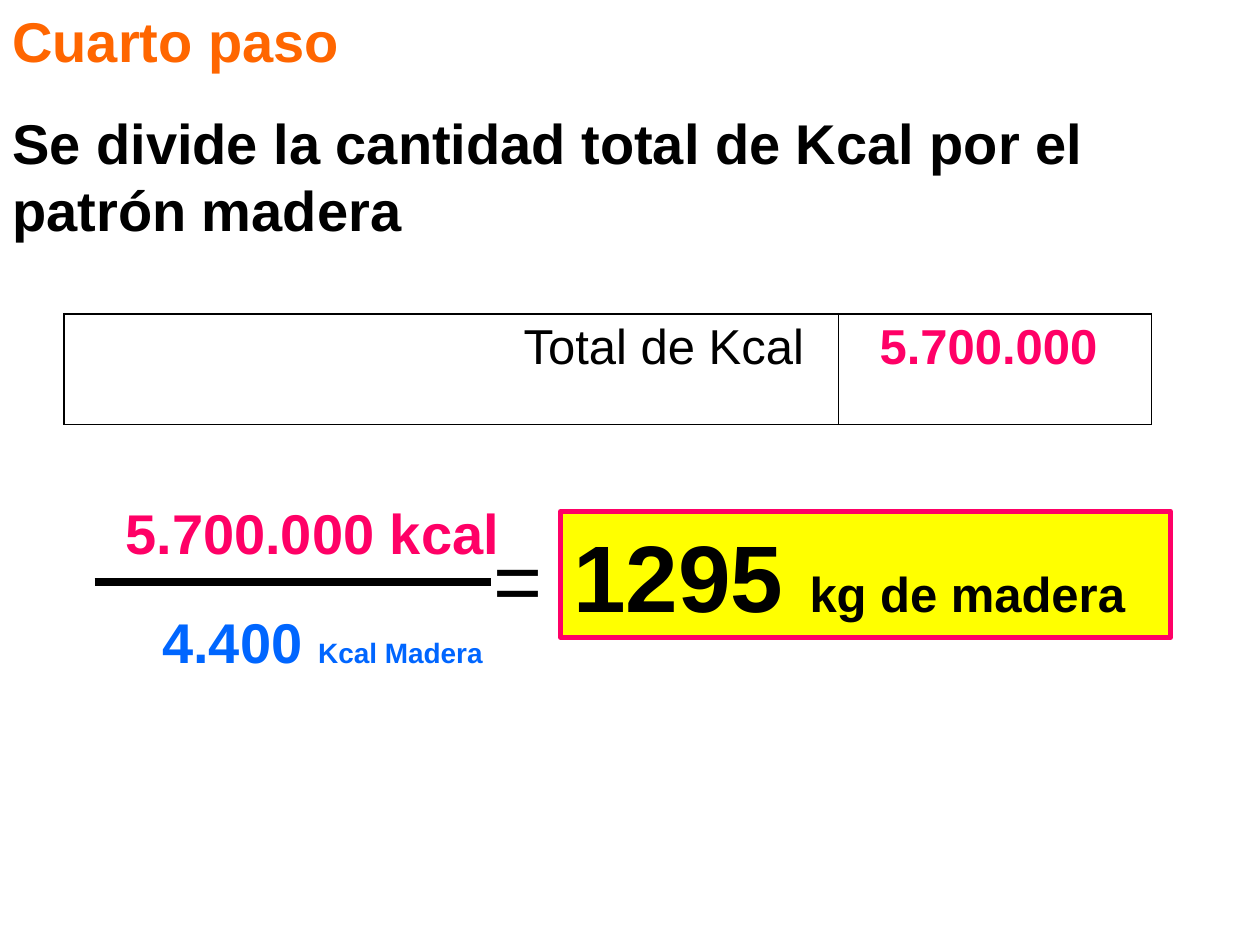
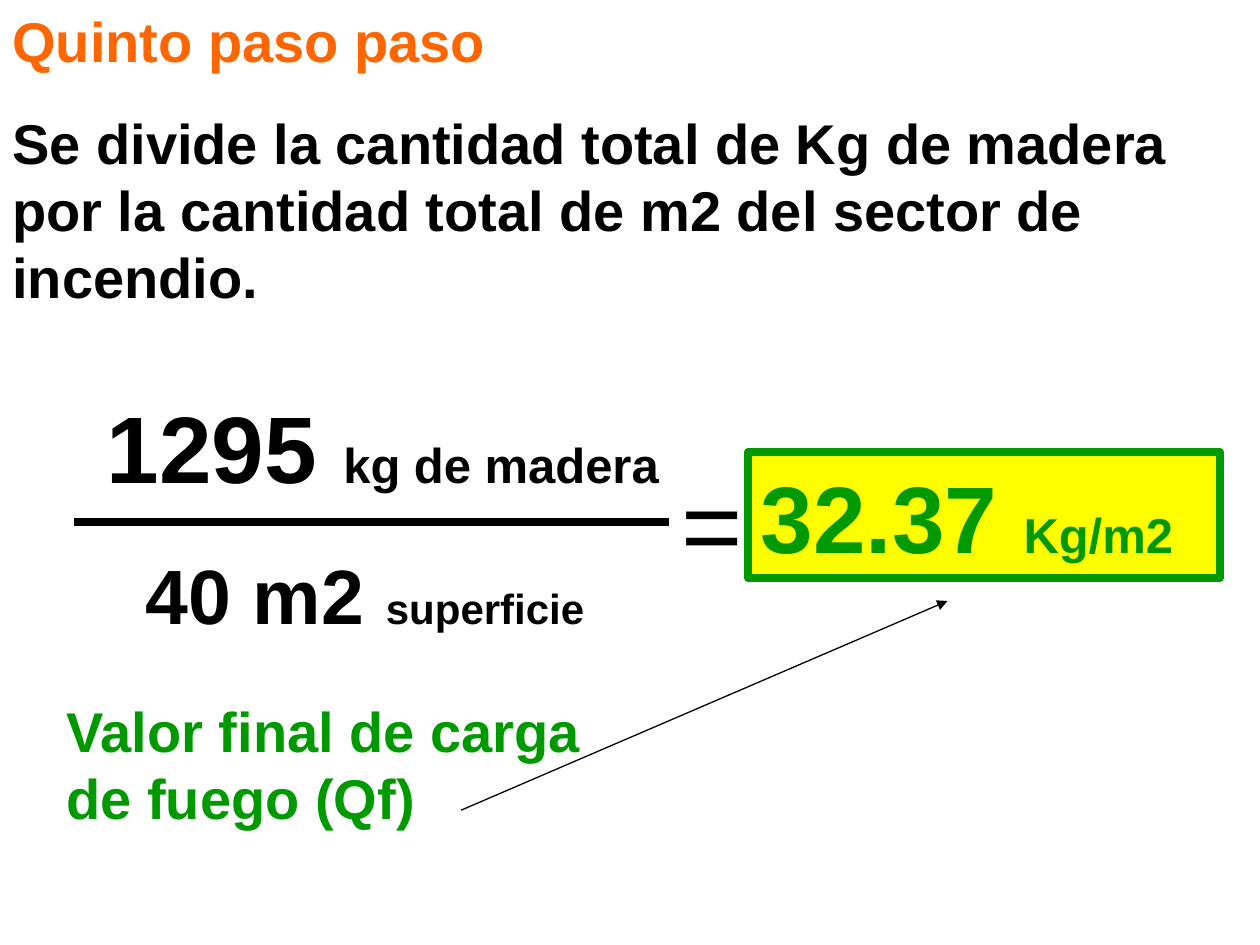
from lxml import etree
from pptx import Presentation
from pptx import util as u
from pptx.dml import color
from pptx.enum import shapes, text
from pptx.oxml import ns

FONT = "Arial"
BLACK, ORANGE, PINK = "000000", "FF6600", "FF0066"
BLUE, GREEN, YELLOW = "0066FF", "009900", "FFFF00"
LEFT, CENTER, RIGHT = text.PP_ALIGN.LEFT, text.PP_ALIGN.CENTER, text.PP_ALIGN.RIGHT


def rgb(value):
    """Turn a hex string into a colour."""
    return color.RGBColor.from_string(value)


def inches(*lengths):
    """Turn numbers into lengths."""
    return [u.Inches(length) for length in lengths]


def add_runs(paragraph, runs, hue, before=0, align=LEFT, bold=True):
    """Write (wording, size) runs of one colour into a paragraph."""
    paragraph.alignment = align
    paragraph.space_before = u.Pt(before)
    for wording, size in runs:
        run = paragraph.add_run()
        run.text = wording
        run.font.name = FONT
        run.font.size = u.Pt(size)
        run.font.bold = bold
        run.font.color.rgb = rgb(hue)


def prepare_frame(shape):
    """Make a shape's text wrap from the top and return its frame."""
    frame = shape.text_frame
    frame.word_wrap = True
    frame.auto_size = text.MSO_AUTO_SIZE.SHAPE_TO_FIT_TEXT
    frame.vertical_anchor = text.MSO_ANCHOR.TOP
    return frame


def add_label(slide, box, runs, hue, **style):
    """Place a text box with one paragraph."""
    frame = prepare_frame(slide.shapes.add_textbox(*inches(*box)))
    add_runs(frame.paragraphs[0], runs, hue, **style)


def add_line(slide, start, end, width, arrow=False):
    """Draw a black straight line, with an arrowhead at its end if asked."""
    line = slide.shapes.add_connector(
        shapes.MSO_CONNECTOR.STRAIGHT, *inches(*start, *end))
    line.line.color.rgb = rgb(BLACK)
    line.line.width = u.Pt(width)
    properties = line._element.spPr
    if arrow:
        etree.SubElement(properties.find(ns.qn("a:ln")), ns.qn("a:tailEnd"), type="triangle")
    etree.SubElement(properties, ns.qn("a:effectLst"))


def add_heading(slide, height, step, instruction):
    """Write the step's name and instruction across the top."""
    frame = prepare_frame(slide.shapes.add_textbox(*inches(0, 0, 10, height)))
    add_runs(frame.paragraphs[0], [(step, 32)], ORANGE, before=20)
    add_runs(frame.add_paragraph(), [(instruction, 32)], BLACK, before=20)


def add_result(slide, box, runs, hue, border, border_width):
    """Place the yellow box that holds the quotient."""
    result = slide.shapes.add_shape(shapes.MSO_SHAPE.RECTANGLE, *inches(*box))
    result.shadow.inherit = False
    result.fill.solid()
    result.fill.fore_color.rgb = rgb(YELLOW)
    result.line.color.rgb = rgb(border)
    result.line.width = u.Pt(border_width)
    add_runs(prepare_frame(result).paragraphs[0], runs, hue, before=17.5)


def add_fraction(slide, left, top, length, numerator, denominator):
    """Draw a fraction bar and set the terms by offsets from its left end."""
    add_line(slide, (left, top), (left + length, top), 4.5)
    for term in (numerator, denominator):
        dx, dy, width, height = term.pop("box")
        add_label(slide, (left + dx, top + dy, width, height), **term)


def add_equals(slide, box, size, before):
    """Write the equals sign."""
    add_label(slide, box, [("=", size)], BLACK, before=before, bold=False)


def set_border(cell, side, width):
    """Draw one black border of a table cell."""
    border = etree.SubElement(cell._tc.get_or_add_tcPr(), ns.qn(f"a:ln{side}"),
                              w=str(u.Pt(width)))
    fill = etree.SubElement(border, ns.qn("a:solidFill"))
    etree.SubElement(fill, ns.qn("a:srgbClr"), val=BLACK)


def add_total_table(slide, left, top):
    """Place the one-row table with the total of kcal."""
    widths, height = (6.14, 2.49), 0.88
    table = slide.shapes.add_table(
        1, 2, *inches(left, top, sum(widths), height)).table
    table.first_row = table.horz_banding = False
    table.rows[0].height = u.Inches(height)
    contents = (("Total de Kcal", BLACK, RIGHT, False, 0.27, (1.08, 0.45)),
                ("5.700.000", PINK, CENTER, True, 0.2, (0.45, 1.08)))
    for index, (wording, hue, align, bold, margin, sides) in enumerate(contents):
        table.columns[index].width = u.Inches(widths[index])
        cell = table.cell(0, index)
        cell.margin_right = u.Inches(margin)
        add_runs(cell.text_frame.paragraphs[0], [(wording, 28)], hue,
                 before=7, align=align, bold=bold)
        for side, width in zip("LRTB", (*sides, 1.08, 1.08)):
            set_border(cell, side, width)
        cell.fill.background()


def build_fourth_step(slide):
    """Divide the total kcal by the wood standard."""
    add_heading(slide, 1.98, "Cuarto paso",
                "Se divide la cantidad total de Kcal por el patrón madera")
    add_total_table(slide, 0.51, 2.49)
    add_fraction(
        slide, 0.75, 4.62, 3.15,
        dict(box=(-0.32, -0.71, 4.1, 0.64), runs=[("5.700.000 kcal", 32)],
             hue=PINK, align=CENTER),
        dict(box=(0.39, 0.15, 2.84, 0.64), hue=BLUE, align=CENTER, before=10,
             runs=[("4.400 ", 32), ("Kcal Madera", 16)]))
    add_equals(slide, (3.82, 4.14, 1.02, 0.9), 48, 30)
    add_result(slide, (4.45, 4.06, 4.84, 1), WOOD_MASS, BLACK, PINK, 3)


def build_fifth_step(slide):
    """Divide the wood mass by the floor area."""
    add_heading(slide, 2.51, "Quinto paso paso",
                "Se divide la cantidad total de Kg de madera por la cantidad "
                "total de m2 del sector de incendio.")
    add_fraction(
        slide, 0.59, 4.14, 4.72,
        dict(box=(0.16, -1.1, 4.84, 1), runs=WOOD_MASS, hue=BLACK, before=17.5),
        dict(box=(0.47, 0.16, 4.02, 0.84), hue=BLACK, before=15,
             runs=[("40 m2 ", 44), ("superficie", 24)]))
    add_equals(slide, (5.31, 3.59, 1.02, 1.1), 60, 37.5)
    add_result(slide, (5.94, 3.59, 3.74, 1), [("32.37 ", 54), ("Kg/m2", 28)],
               GREEN, GREEN, 4.5)
    add_label(slide, (0.43, 5.48, 4.73, 1.17),
              [("Valor final de carga de fuego (Qf)", 32)], GREEN, before=20)
    add_line(slide, (3.66, 6.43), (7.52, 4.77), 0.75, arrow=True)


WOOD_MASS = [("1295 ", 54), ("kg de madera", 28)]


def main():
    """Build both steps and save the deck."""
    deck = Presentation()
    deck.slide_width, deck.slide_height = inches(10, 7.5)
    for build in (build_fourth_step, build_fifth_step):
        build(deck.slides.add_slide(deck.slide_layouts[6]))
    deck.save("out.pptx")


if __name__ == "__main__":
    main()
